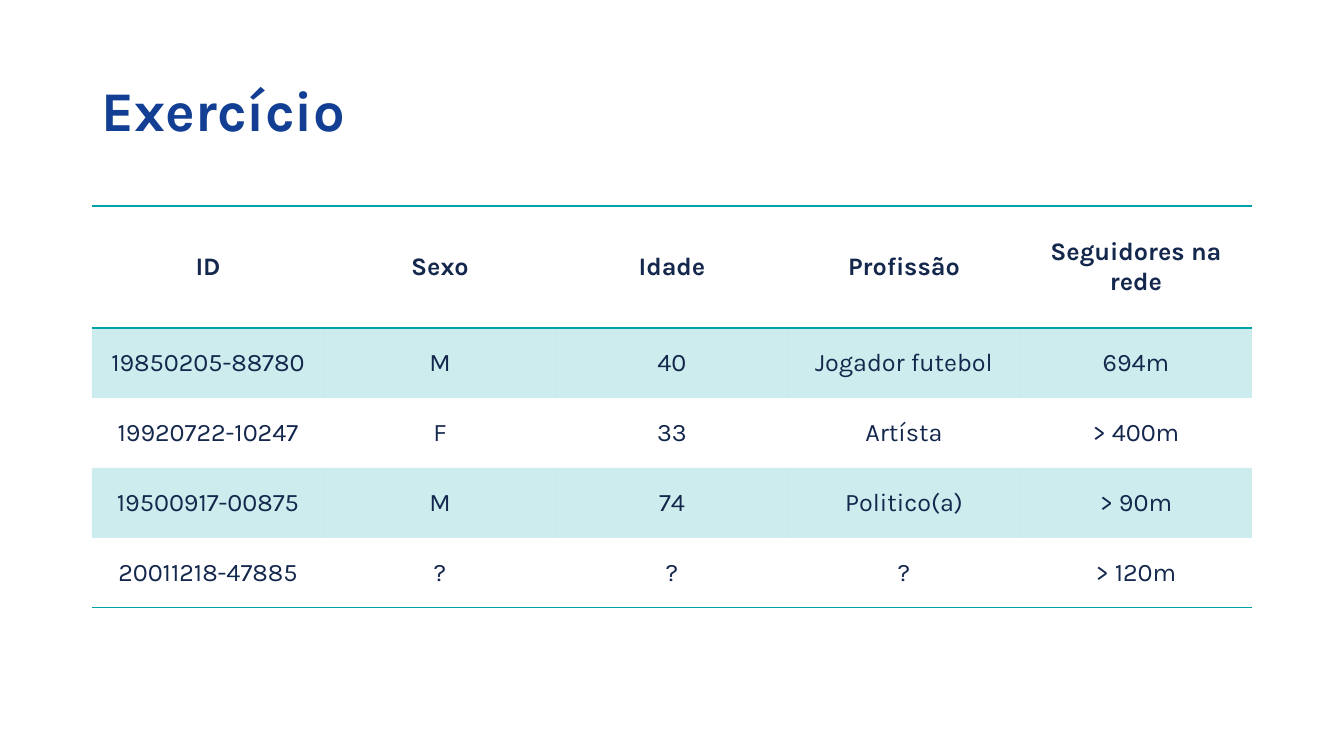
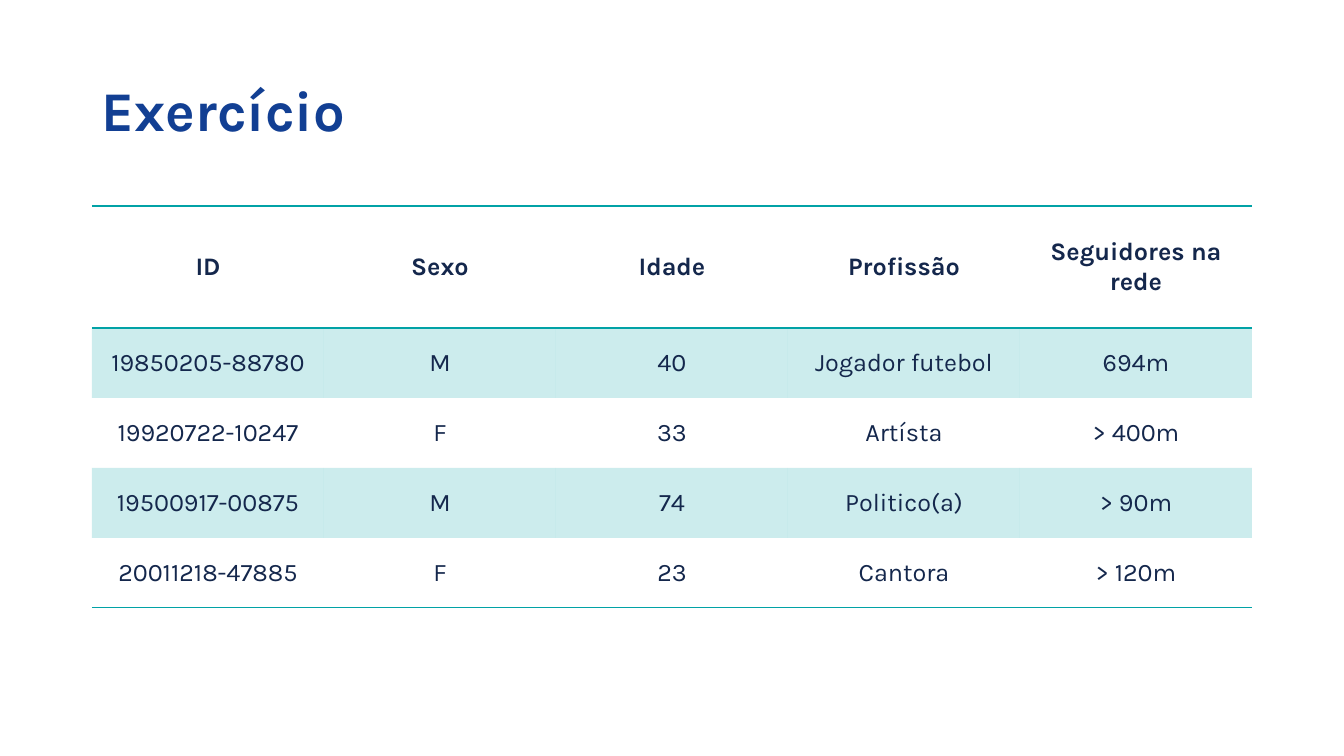
from lxml import etree
from pptx import Presentation
from pptx import util as u
from pptx.dml.color import RGBColor
from pptx.enum import text
from pptx.oxml.ns import qn

NAVY = RGBColor(0x14, 0x27, 0x4C)
BLUE = RGBColor(0x12, 0x3F, 0x93)
TEAL = RGBColor(0x01, 0xA2, 0xA6)
FONT = "Karla"
PLAIN = "{2D5ABB26-0587-4C30-8999-92F81FD0307C}"
LEFT, COL, HEAD, ROW = 92, 232, 122, 70

TITLE = "Exercício"
BASE = [
    ["ID", "Sexo", "Idade", "Profissão", "Seguidores na rede"],
    ["19850205-88780", "M", "40", "Jogador futebol", "694m"],
    ["19920722-10247", "F", "33", "Artísta", "> 400m"],
    ["19500917-00875", "M", "74", "Politico(a)", "> 90m"],
]
LAST = [["?", "?", "?"], ["F", "23", "Cantora"]]


def px(n):
    return u.Emu(round(n * 914400 / 100.8))


def style(para, size, color, bold):
    font = para.font
    font.name, font.size, font.bold = FONT, u.Pt(size), bold
    font.color.rgb = color


def add_title(slide, words):
    box = slide.shapes.add_textbox(px(LEFT), px(40), px(5 * COL), px(146))
    frame = box.text_frame
    frame.word_wrap = True
    frame.vertical_anchor = text.MSO_ANCHOR.MIDDLE
    para = frame.paragraphs[0]
    para.text = words
    para.line_spacing = 0.9
    style(para, 40, BLUE, True)


def rule(cell, side):
    props = cell._tc.get_or_add_tcPr()
    line = etree.SubElement(props, qn(f"a:ln{side}"), w=str(u.Pt(1)))
    fill = etree.SubElement(line, qn("a:solidFill"))
    etree.SubElement(fill, qn("a:srgbClr"), val=str(TEAL))


def tint(cell):
    cell.fill.solid()
    cell.fill.fore_color.rgb = TEAL
    color = cell._tc.tcPr.find(f"{qn('a:solidFill')}/{qn('a:srgbClr')}")
    etree.SubElement(color, qn("a:alpha"), val="20000")


def fill_cell(cell, words, sides, band, bold):
    cell.text = words
    cell.vertical_anchor = text.MSO_ANCHOR.MIDDLE
    para = cell.text_frame.paragraphs[0]
    para.alignment = text.PP_ALIGN.CENTER
    style(para, 18, NAVY, bold)
    for side in sides:
        rule(cell, side)
    if band:
        tint(cell)
    else:
        cell.fill.background()


def add_grid(slide, data):
    rows, cols = len(data), len(data[0])
    high = HEAD + ROW * (rows - 1)
    frame = slide.shapes.add_table(
        rows, cols, px(LEFT), px(206), px(COL * cols), px(high))
    table = frame.table
    table._tbl.tblPr.find(qn("a:tableStyleId")).text = PLAIN
    for col in table.columns:
        col.width = px(COL)
    sides = {0: "TB", rows - 1: "B"}
    for r, line in enumerate(data):
        table.rows[r].height = px(ROW if r else HEAD)
        for c, words in enumerate(line):
            fill_cell(table.cell(r, c), words, sides.get(r, ""),
                      r % 2 == 1, r == 0)


def main():
    deck = Presentation()
    deck.slide_width, deck.slide_height = px(1344), px(756)
    for guess in LAST:
        slide = deck.slides.add_slide(deck.slide_layouts[6])
        add_title(slide, TITLE)
        add_grid(slide, BASE + [["20011218-47885", *guess, "> 120m"]])
    deck.save("out.pptx")


if __name__ == "__main__":
    main()
